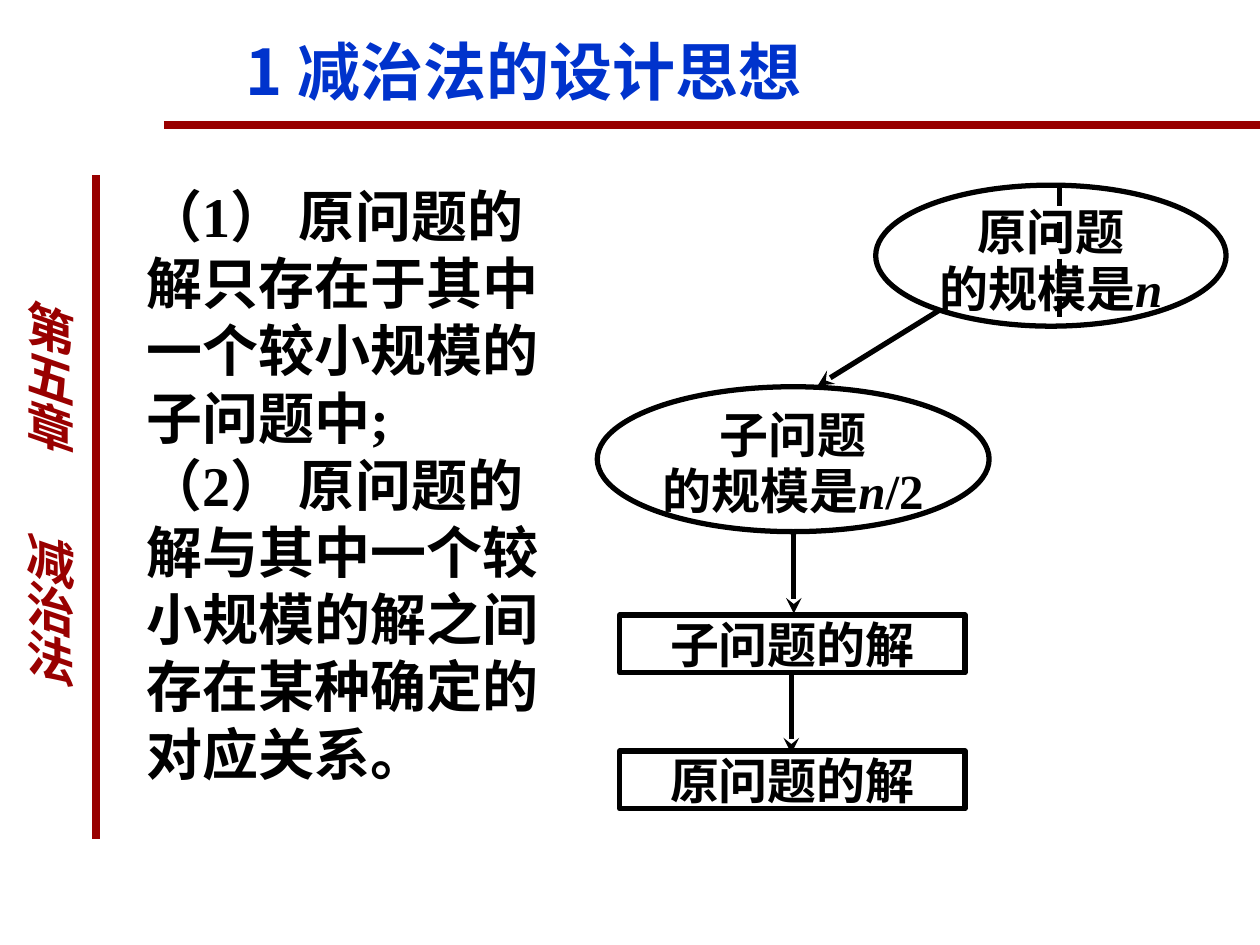
"""Builds the slide on the idea behind decrease-and-conquer."""
from dataclasses import dataclass

from lxml import etree
from pptx import Presentation
from pptx.dml.color import RGBColor
from pptx.enum.dml import MSO_LINE
from pptx.enum.shapes import MSO_CONNECTOR, MSO_SHAPE
from pptx.enum.text import MSO_ANCHOR, MSO_AUTO_SIZE, PP_ALIGN
from pptx.oxml import parse_xml
from pptx.oxml.ns import qn
from pptx.util import Pt

OVAL, RECT = MSO_SHAPE.OVAL, MSO_SHAPE.RECTANGLE
STRAIGHT, DASH = MSO_CONNECTOR.STRAIGHT, MSO_LINE.DASH
LEFT, CENTER = PP_ALIGN.LEFT, PP_ALIGN.CENTER
TOP, FIXED = MSO_ANCHOR.TOP, MSO_AUTO_SIZE.NONE
SERIF, SANS, HAN = "Times New Roman", "Arial", "Noto Sans CJK SC"
BLACK, RED, BLUE = "000000", "990000", "0033CC"
SHADE = (
    '<a:effectLst xmlns:a="http://schemas.openxmlformats.org/drawingml/2006/main">'
    '<a:outerShdw dist="17961" dir="2700000"><a:srgbClr val="C0C0C0"/>'
    "</a:outerShdw></a:effectLst>"
)


@dataclass
class Style:
    """Look of a block of text."""
    size: float
    face: str = SERIF
    tint: str = BLACK
    align: PP_ALIGN = LEFT
    lead: float = 1.0


@dataclass
class Node:
    """A box in the flow, with lines made of (text, italic) runs."""
    kind: MSO_SHAPE
    rect: tuple[float, float, float, float]
    lines: list[list[tuple[str, bool]]]
    pad: float = 0
    lead: float = 1.0


@dataclass
class Rule:
    """A straight line between two points."""
    start: tuple[float, float]
    end: tuple[float, float]
    tint: str = BLACK
    width: float = 3
    arrow: bool = False
    dash: bool = False


def color(code: str) -> RGBColor:
    """Turn a hex string into a colour."""
    return RGBColor.from_string(code)


def place(shape, rect: tuple) -> None:
    """Move and size a shape."""
    shape.left, shape.top, shape.width, shape.height = map(Pt, rect)


def write(shape, lines: list, style: Style, pad: tuple) -> None:
    """Fill a shape with formatted runs."""
    frame = shape.text_frame
    frame.word_wrap, frame.auto_size = True, FIXED
    frame.vertical_anchor = TOP
    frame.margin_left = frame.margin_right = Pt(pad[0])
    frame.margin_top = frame.margin_bottom = Pt(pad[1])
    for i, line in enumerate(lines):
        para = frame.add_paragraph() if i else frame.paragraphs[0]
        para.alignment, para.line_spacing = style.align, style.lead
        para.space_before = Pt(0)
        for text, slant in line:
            run = para.add_run()
            run.text = text
            font = run.font
            font.size, font.bold, font.italic = Pt(style.size), True, slant
            font.color.rgb = color(style.tint)
            font.name = style.face


def draw_rule(slide, rule: Rule) -> None:
    """Draw a line, dashed or with an arrowhead if asked."""
    link = slide.shapes.add_connector(STRAIGHT, *map(Pt, rule.start + rule.end))
    link.line.color.rgb = color(rule.tint)
    link.line.width = Pt(rule.width)
    if rule.dash:
        link.line.dash_style = DASH
    props = link.element.spPr
    if rule.arrow:
        etree.SubElement(props.find(qn("a:ln")), qn("a:tailEnd"), type="stealth")
    etree.SubElement(props, qn("a:effectLst"))


def draw_node(slide, node: Node) -> None:
    """Draw an outlined box with its text."""
    box = slide.shapes.add_shape(node.kind, *map(Pt, node.rect))
    box.shadow.inherit = False
    box.fill.background()
    box.line.color.rgb = color(BLACK)
    box.line.width = Pt(3)
    write(box, node.lines, Style(28, align=CENTER, lead=node.lead), (node.pad, 0))


def draw_side(slide) -> None:
    """Write the chapter name down the left edge."""
    side = slide.shapes.add_textbox(*map(Pt, (9.4, 145.4, 47.5, 249.8)))
    write(side, [[("第五章\t减治法", True)]], Style(28, SANS, RED), (3.6, 7.2))
    side.text_frame.margin_top = Pt(24)
    side.text_frame._txBody.bodyPr.set("vert", "eaVert")
    para = side.text_frame.paragraphs[0]
    tabs = etree.SubElement(para._p.get_or_add_pPr(), qn("a:tabLst"))
    etree.SubElement(tabs, qn("a:tab"), pos=str(Pt(132)), algn="l")
    for run in para.runs:
        run.font.fill._xPr.find(qn("a:solidFill")).addnext(parse_xml(SHADE))


def draw_body(slide) -> None:
    """Fill the title and the list."""
    title, body = slide.placeholders
    place(title, (133.2, 15.1, 345.6, 50.4))
    write(title, [[("1 减治法的设计思想", False)]], Style(36, HAN, BLUE), (7.2, 3.6))
    place(body, (76.3, 100.1, 249.8, 352.8))
    points = [
        "（1） 原问题的解只存在于其中一个较小规模的子问题中;",
        "（2） 原问题的解与其中一个较小规模的解之间存在某种确定的对应关系。",
    ]
    write(body, [[(text, False)] for text in points], Style(32), (7.2, 3.6))
    for para in body.text_frame.paragraphs:
        props = para._p.get_or_add_pPr()
        props.set("marL", "0")
        props.set("indent", "0")
        etree.SubElement(props, qn("a:buNone"))


RULES = [
    Rule((93.6, 71.3), (720, 71.3), RED, 4.5),
    Rule((54.7, 100.1), (54.7, 479.5), RED, 4.5),
    Rule((537.1, 177.1), (467.3, 220.3), arrow=True),
    Rule((452.2, 385.2), (452.2, 430.6), arrow=True),
    Rule((453.6, 303.1), (453.6, 350.6), arrow=True),
    Rule((605.5, 105.8), (605.5, 185.8), dash=True),
]
SIZE = ("的规模是", False)
NODES = [
    Node(OVAL, (341.3, 221, 223.9, 82.8),
         [[("子问题", False)], [SIZE, ("n", True), ("/2", False)]], lead=0.96),
    Node(OVAL, (500.4, 105.8, 200.2, 80.6),
         [[("原问题", False)], [SIZE, ("n", True)]], lead=0.96),
] + [
    Node(RECT, (354.2, top, 197.3, 33.1), [[(text, False)]], 2.9)
    for top, text in [(351.4, "子问题的解"), (429.1, "原问题的解")]
]


def main() -> None:
    """Build and save the slide."""
    deck = Presentation()
    deck.slide_width, deck.slide_height = Pt(720), Pt(540)
    slide = deck.slides.add_slide(deck.slide_layouts[1])
    draw_body(slide)
    draw_side(slide)
    for rule in RULES:
        draw_rule(slide, rule)
    for node in NODES:
        draw_node(slide, node)
    deck.save("out.pptx")


if __name__ == "__main__":
    main()
